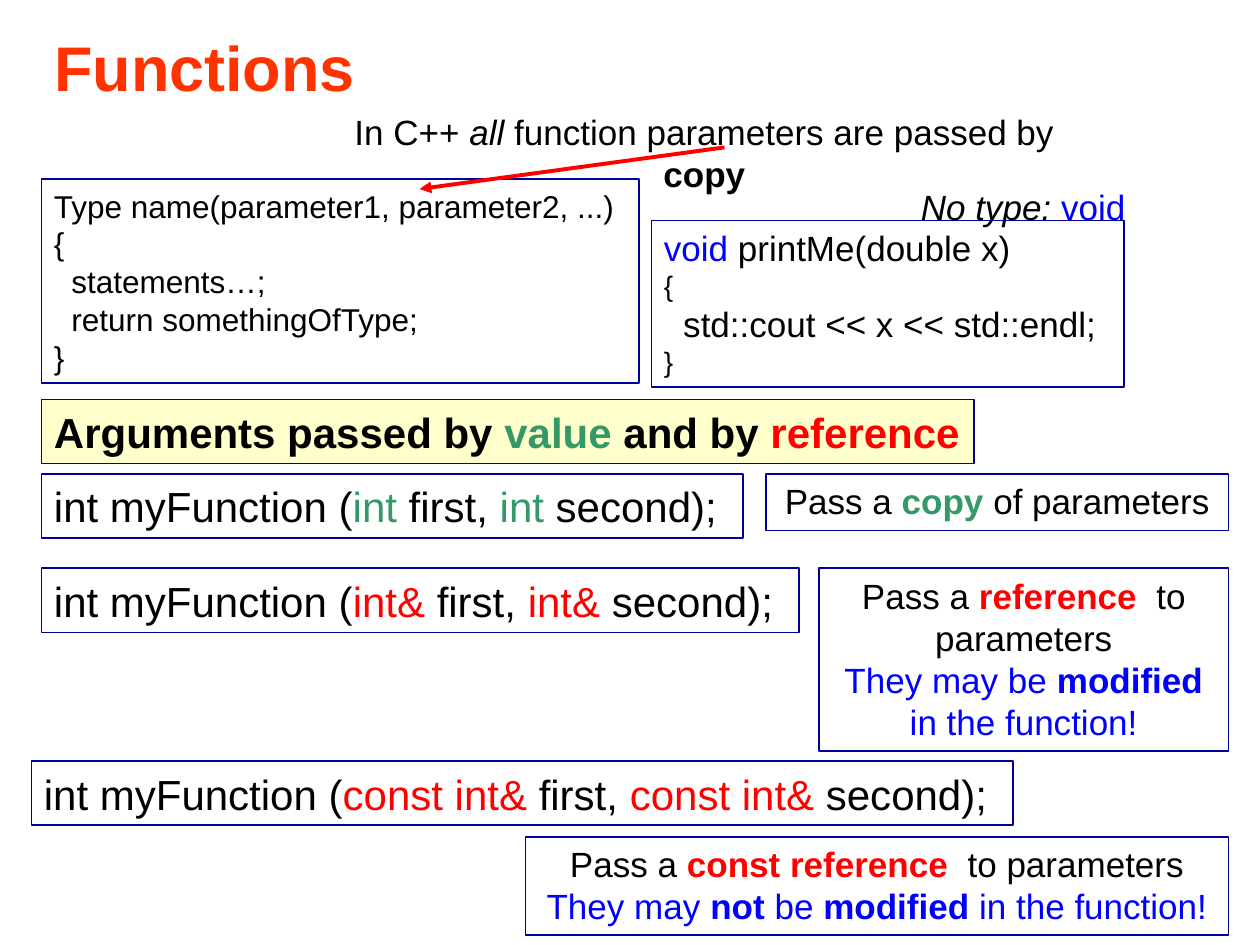
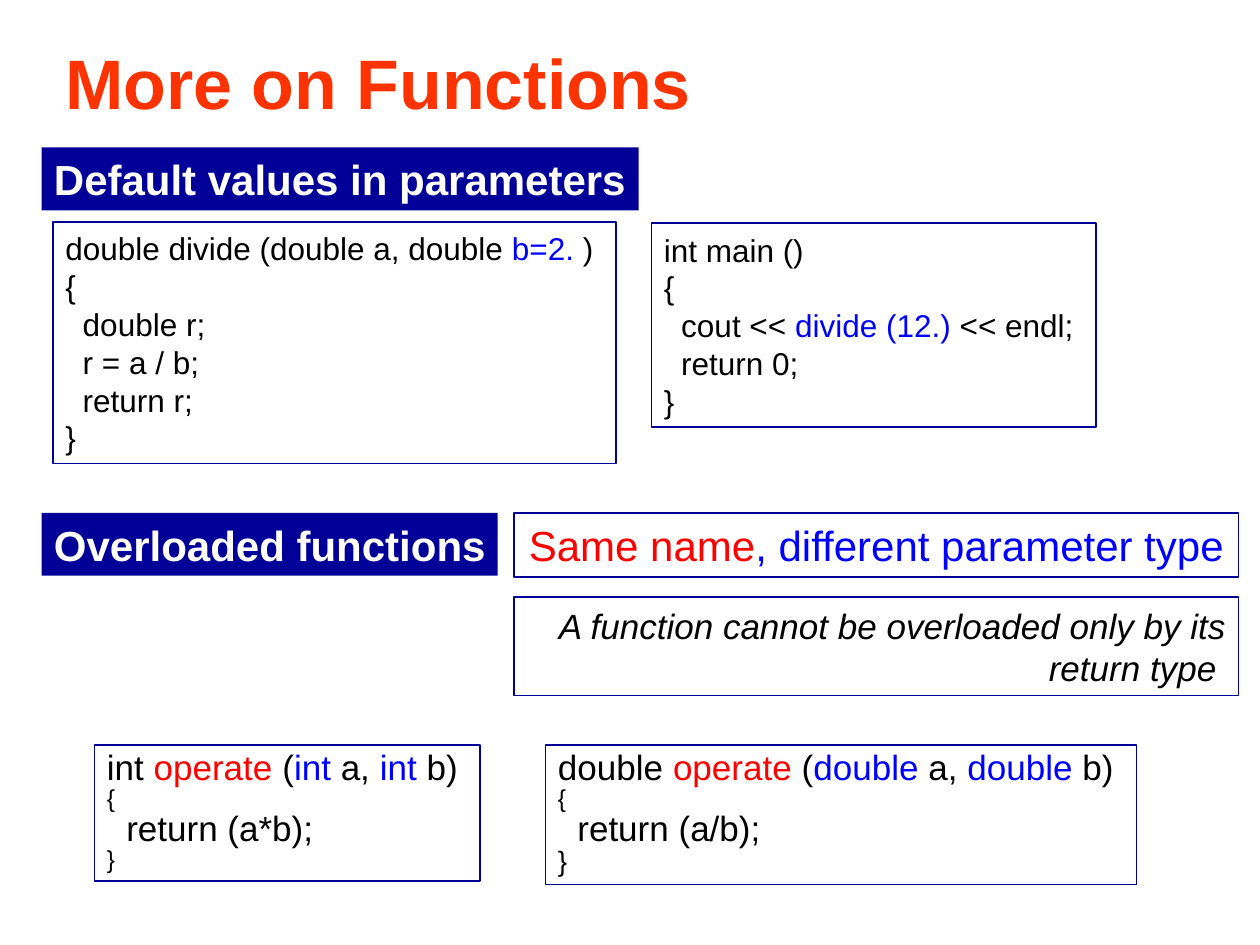
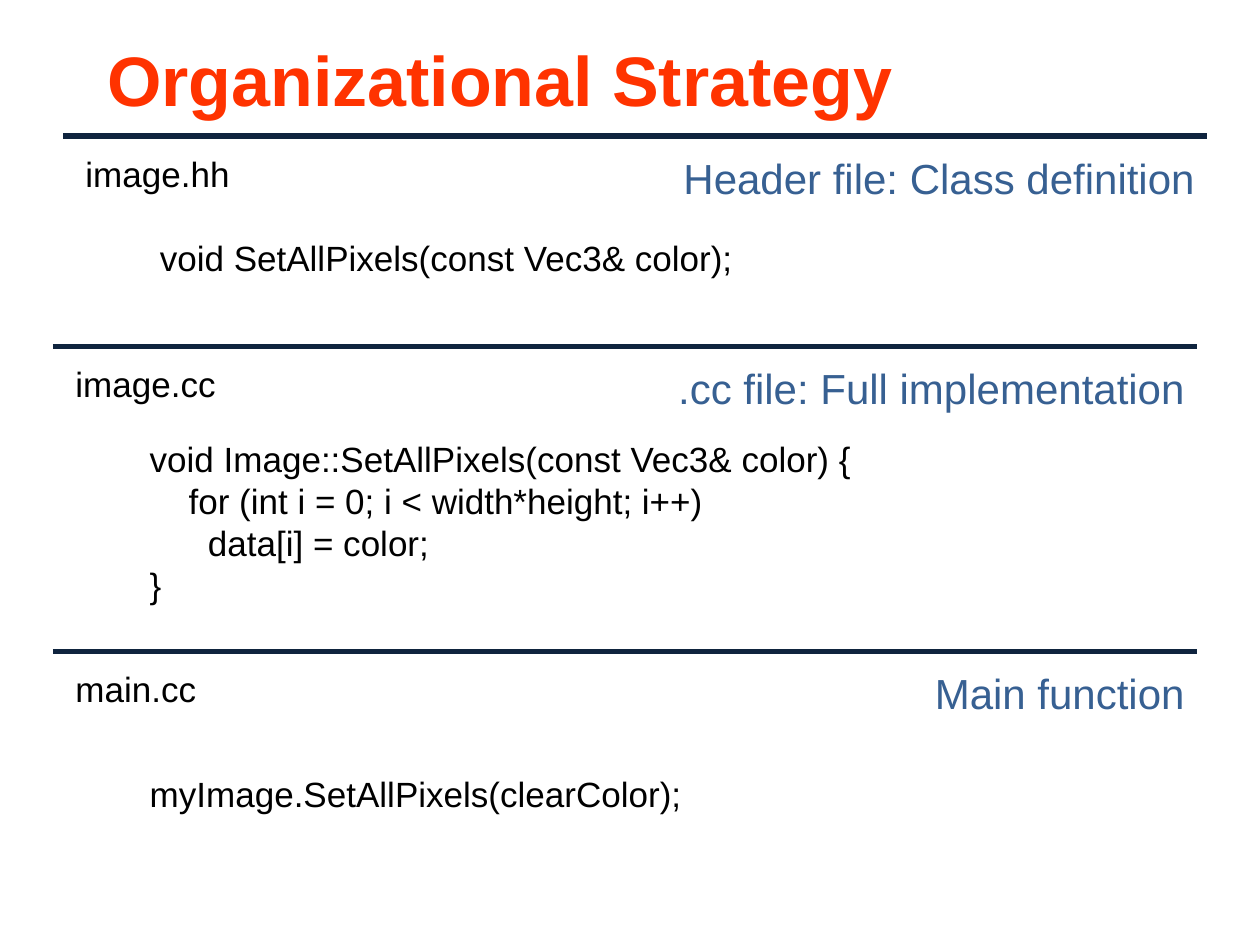
from lxml import etree
from pptx import Presentation
from pptx.dml.color import RGBColor
from pptx.enum.shapes import MSO_CONNECTOR, MSO_SHAPE
from pptx.enum.text import MSO_ANCHOR, MSO_AUTO_SIZE, PP_ALIGN
from pptx.oxml.ns import qn
from pptx.util import Inches, Pt

LEFT, CENTER, RIGHT = PP_ALIGN.LEFT, PP_ALIGN.CENTER, PP_ALIGN.RIGHT
TOP, MIDDLE = MSO_ANCHOR.TOP, MSO_ANCHOR.MIDDLE
FIXED, GROW = MSO_AUTO_SIZE.NONE, MSO_AUTO_SIZE.SHAPE_TO_FIT_TEXT
RECTANGLE, STRAIGHT = MSO_SHAPE.RECTANGLE, MSO_CONNECTOR.STRAIGHT
TITLE_ONLY = 5
FONT = "Arial"
COLORS = {
    "title": "FF3300",
    "black": "000000",
    "white": "FFFFFF",
    "navy": "000099",
    "cream": "FFFFCC",
    "blue": "0000FF",
    "green": "339966",
    "red": "FF0000",
    "rule": "0F243E",
    "heading": "376092",
}
MARGINS = {
    "margin_left": Inches(0.1),
    "margin_right": Inches(0.1),
    "margin_top": Inches(0.05),
    "margin_bottom": Inches(0.05),
}


def rgb(name):
    return RGBColor.from_string(COLORS[name])


def apply_format(target, values):
    for name, value in values.items():
        setattr(target, name, value)


def add_run(paragraph, size, text, color="black", marks=""):
    run = paragraph.add_run()
    run.text = text
    apply_format(run.font, {
        "name": FONT,
        "size": Pt(size),
        "bold": "b" in marks,
        "italic": "i" in marks,
    })
    run.font.color.rgb = rgb(color)


def write(frame, paragraphs, size, color="black", align=LEFT, spacing=None, sizes=None):
    for index, runs in enumerate(paragraphs):
        paragraph = frame.paragraphs[0] if index == 0 else frame.add_paragraph()
        apply_format(paragraph, {"alignment": align, "line_spacing": spacing})
        for part in [(runs, color)] if isinstance(runs, str) else runs:
            add_run(paragraph, sizes[index] if sizes else size, *part)


def add_title(presentation, text, box, size):
    slide = presentation.slides.add_slide(presentation.slide_layouts[TITLE_ONLY])
    title = slide.shapes.title
    apply_format(title, dict(zip(("left", "top", "width", "height"), map(Inches, box))))
    apply_format(title.text_frame, {
        **MARGINS, "vertical_anchor": MIDDLE, "auto_size": FIXED, "word_wrap": True,
    })
    write(title.text_frame, [[(text, "title", "b")]], size)
    return slide


def add_label(slide, box, paragraphs, size=20, **style):
    label = slide.shapes.add_textbox(*map(Inches, box))
    apply_format(label.text_frame, {**MARGINS, "vertical_anchor": TOP, "word_wrap": True})
    write(label.text_frame, paragraphs, size, **style)
    return label


def add_panel(slide, box, paragraphs, size=20, fill=None, line="navy",
              anchor=MIDDLE, wrap=False, **style):
    panel = slide.shapes.add_shape(RECTANGLE, *map(Inches, box))
    panel.shadow.inherit = False
    if fill:
        panel.fill.solid()
        panel.fill.fore_color.rgb = rgb(fill)
    else:
        panel.fill.background()
    if line:
        panel.line.color.rgb = rgb(line)
        panel.line.width = Pt(1)
    else:
        panel.line.fill.background()
    apply_format(panel.text_frame, {
        **MARGINS, "margin_right": Inches(0.1 if wrap else 0.05),
        "vertical_anchor": anchor, "word_wrap": wrap, "auto_size": GROW,
    })
    write(panel.text_frame, paragraphs, size, **style)


def add_note(slide, box, paragraphs, size=20):
    add_panel(slide, box, paragraphs, size, anchor=TOP, wrap=True, align=CENTER)


def add_banner(slide, left, top, width, text):
    add_panel(slide, (left, top, width, 0.5), [[(text, "white", "b")]], 24,
              fill="navy", line=None)


def add_line(slide, start, end, color, width, arrow=False):
    line = slide.shapes.add_connector(STRAIGHT, *map(Inches, (*start, *end)))
    line.line.color.rgb = rgb(color)
    line.line.width = Pt(width)
    if arrow:
        etree.SubElement(line.line._get_or_add_ln(), qn("a:tailEnd"), type="triangle")
    etree.SubElement(line._element.spPr, qn("a:effectLst"))


def add_signature(slide, left, top, width, kind, color):
    add_panel(slide, (left, top, width, 0.51), [[
        ("int myFunction (",), (kind, color), (" first, ",), (kind, color), (" second);",),
    ]], 24)


def add_operate(slide, box, kind, result, sizes):
    add_panel(slide, box, [
        [(kind + " ",), ("operate", "red"), (" (",), (kind, "blue"), (" a, ",),
         (kind, "blue"), (" b)",)],
        "{",
        f"  return ({result});",
        "}",
    ], spacing=0.85, sizes=sizes)


def add_file_section(slide, left, top, file_name, heading, heading_width,
                     code, code_drop, code_width):
    right = left + 9.08
    add_line(slide, (left, top), (right, top), "rule", 3)
    add_label(slide, (left + 0.08, top + 0.08, 1.75, 0.43), [file_name])
    add_label(slide, (right - heading_width, top + 0.08, heading_width, 0.5), [heading],
              24, color="heading", align=RIGHT)
    add_label(slide, (left + 0.67, top + code_drop, code_width, 0.1 + 0.33 * len(code)), code)


def build_functions(presentation):
    slide = add_title(presentation, "Functions", (0.33, 0.17, 2.92, 0.71), 36)
    add_panel(slide, (0.33, 1.42, 4.74, 1.62), [
        "Type name(parameter1, parameter2, ...)",
        "{",
        "  statements…;",
        "  return somethingOfType;",
        "}",
    ], 18)
    add_label(slide, (7.08, 1.42, 2.08, 0.43),
              [[("No type: ", "black", "i"), ("void", "blue")]], align=CENTER)
    add_panel(slide, (0.33, 3.17, 7.4, 0.51), [[
        ("Arguments passed by ", "black", "b"), ("value", "green", "b"),
        (" and by ", "black", "b"), ("reference", "red", "b"),
    ]], 24, fill="cream")
    add_signature(slide, 0.33, 3.76, 5.57, "int", "green")
    add_signature(slide, 0.33, 4.51, 6.01, "int&", "red")
    add_signature(slide, 0.25, 6.04, 7.79, "const int&", "red")
    add_note(slide, (6.08, 3.76, 3.67, 0.45),
             [[("Pass a ",), ("copy ", "green", "b"), ("of parameters",)]])
    add_note(slide, (6.5, 4.51, 3.25, 1.45), [
        [("Pass a ",), ("reference ", "red", "b"), (" to parameters",)],
        [("They may be ", "blue"), ("modified", "blue", "b"), (" in the function!", "blue")],
    ])
    add_note(slide, (4.17, 6.64, 5.58, 0.78), [
        [("Pass a ",), ("const reference ", "red", "b"), (" to parameters",)],
        [("They may ", "blue"), ("not", "blue", "b"), (" be ", "blue"),
         ("modified", "blue", "b"), (" in the function!", "blue")],
    ])
    add_panel(slide, (5.17, 1.75, 3.75, 1.32), [
        [("void", "blue"), (" printMe(double x)",)],
        "{",
        "  std::cout << x << std::endl;",
        "}",
    ], anchor=TOP, wrap=True, sizes=(20, 16, 20, 16))
    passing_rule = add_label(slide, (2.72, 0.83, 6.46, 0.43), [[
        ("In C++ ",), ("all", "black", "i"),
        (" function parameters are passed by ",), ("copy", "black", "b"),
    ]], align=CENTER)
    apply_format(passing_rule.text_frame, {
        "margin_left": Inches(0.05), "margin_right": Inches(0.77),
    })
    add_line(slide, (5.75, 1.17), (3.33, 1.5), "red", 2.25, arrow=True)


def build_more_functions(presentation):
    slide = add_title(presentation, "More on Functions", (0.42, 0.29, 8.5, 0.71), 40)
    add_banner(slide, 0.33, 1.17, 4.74, "Default values in parameters")
    add_panel(slide, (0.42, 1.76, 4.47, 1.92), [
        [("double divide (double a, double ",), ("b=2.", "blue"), (" )",)],
        "{",
        "  double r;",
        "  r = a / b;",
        "  return r;",
        "}",
    ], 18)
    add_panel(slide, (5.17, 1.77, 3.53, 1.62), [
        "int main ()",
        "{",
        [("  cout << ",), ("divide (12.)", "blue"), (" << endl;",)],
        "  return 0;",
        "}",
    ], 18)
    add_banner(slide, 0.33, 4.07, 3.62, "Overloaded functions")
    add_note(slide, (4.08, 4.07, 5.75, 0.51),
             [[("Same name", "red"), (", different parameter type", "blue")]], 24)
    add_panel(slide, (4.08, 4.74, 5.75, 0.78), [[
        ("A function cannot be overloaded only by its return type ", "black", "i"),
    ]], wrap=True, align=RIGHT)
    add_operate(slide, (0.75, 5.91, 3.06, 1.08), "int", "a*b", (20, 14, 20, 14))
    add_operate(slide, (4.33, 5.91, 4.69, 1.11), "double", "a/b", (20, 14, 20, 16))


def build_strategy(presentation):
    slide = add_title(presentation, "Organizational Strategy", (0.75, 0.25, 8.5, 0.75), 40)
    add_file_section(slide, 0.5, 1.08, "image.hh", "Header file: Class definition", 7.67,
                     ["void SetAllPixels(const Vec3& color);"], 0.75, 7.33)
    add_file_section(slide, 0.42, 2.75, "image.cc", ".cc file: Full implementation", 5.92, [
        "void Image::SetAllPixels(const Vec3& color) {",
        "    for (int i = 0; i < width*height; i++)",
        "      data[i] = color;",
        "}",
    ], 0.67, 8.5)
    add_file_section(slide, 0.42, 5.17, "main.cc", "Main function", 7.33,
                     ["myImage.SetAllPixels(clearColor);"], 0.91, 6.83)


def main():
    presentation = Presentation()
    presentation.slide_width = Inches(10)
    presentation.slide_height = Inches(7.5)
    build_functions(presentation)
    build_more_functions(presentation)
    build_strategy(presentation)
    presentation.save("out.pptx")


if __name__ == "__main__":
    main()
